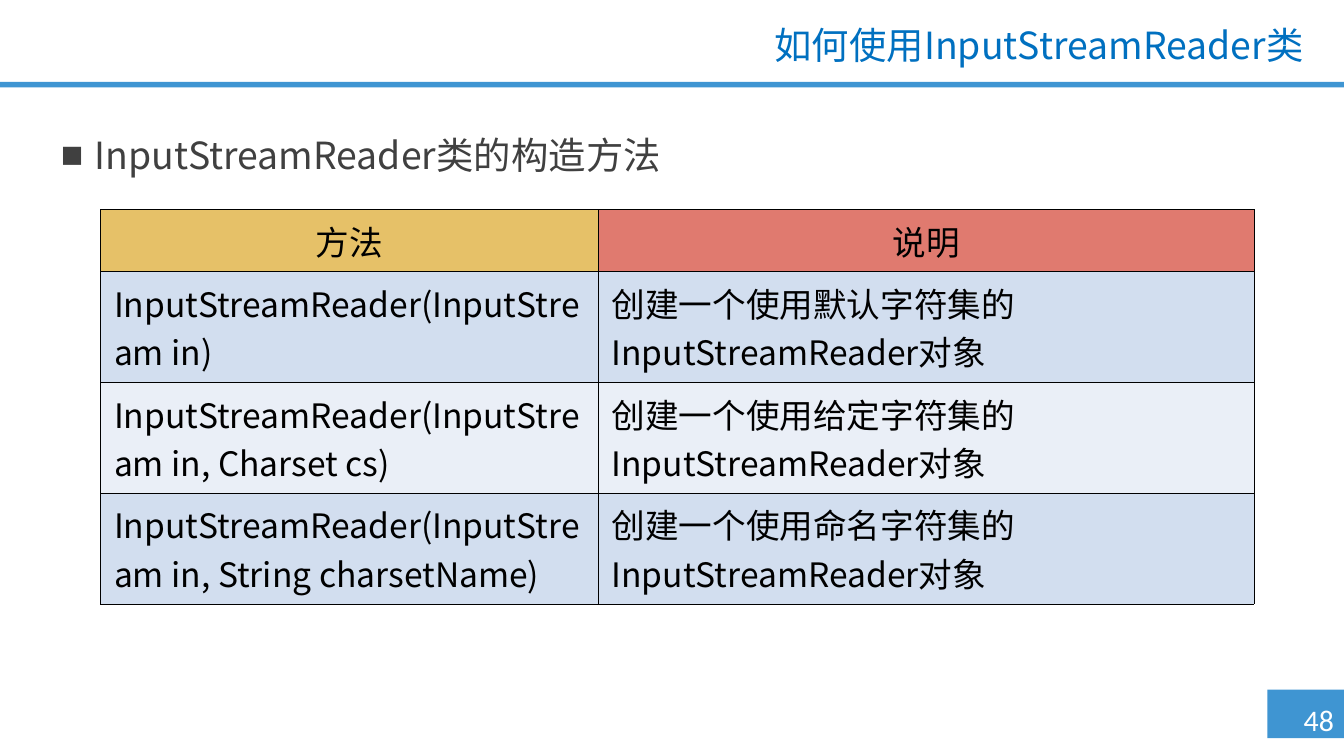
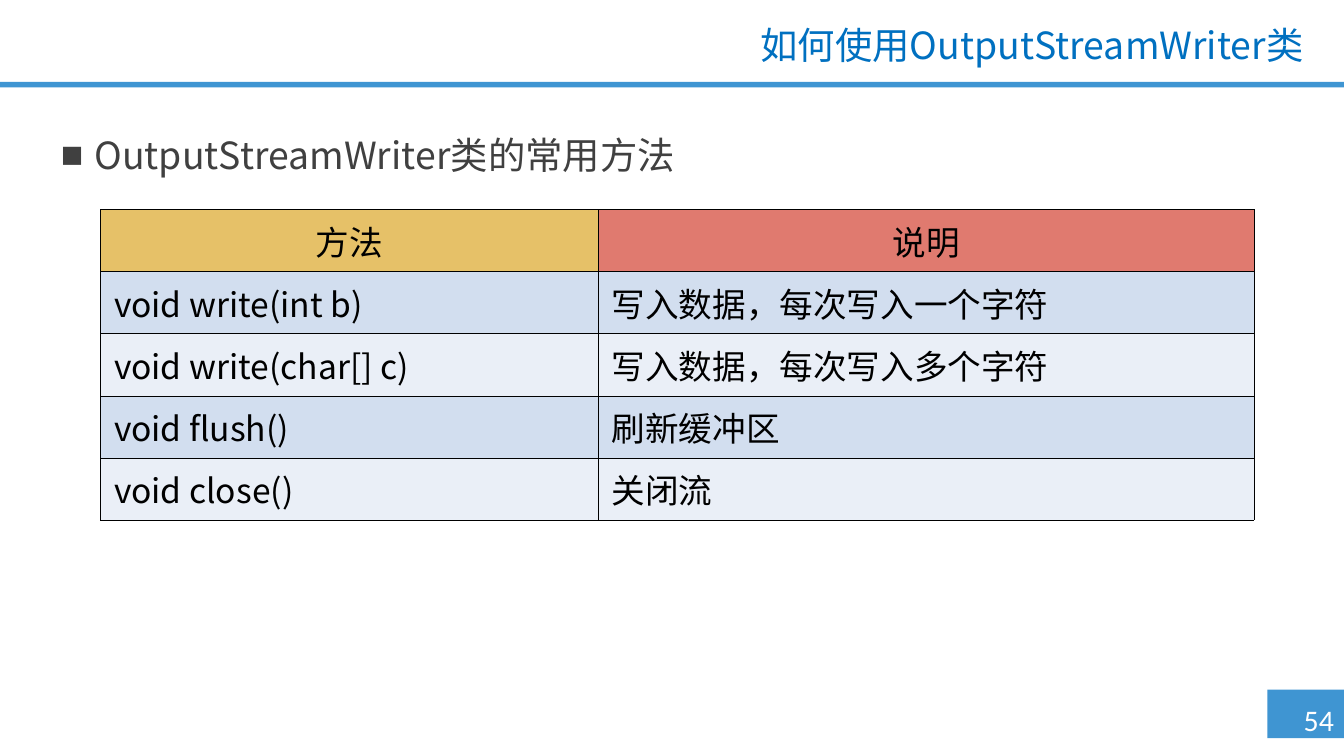
from dataclasses import dataclass

from lxml.etree import SubElement
from pptx import Presentation
from pptx.dml.color import RGBColor
from pptx.enum.shapes import MSO_SHAPE
from pptx.enum.text import MSO_ANCHOR, MSO_AUTO_SIZE, PP_ALIGN
from pptx.oxml import parse_xml
from pptx.oxml.ns import nsdecls, qn
from pptx.slide import Slide
from pptx.util import Pt

RECTANGLE = MSO_SHAPE.RECTANGLE
TOP, MIDDLE = MSO_ANCHOR.TOP, MSO_ANCHOR.MIDDLE
NO_AUTOFIT = MSO_AUTO_SIZE.NONE
LEFT, CENTER, RIGHT = PP_ALIGN.LEFT, PP_ALIGN.CENTER, PP_ALIGN.RIGHT

BAND_BLUE = RGBColor(0x3F, 0x95, 0xD2)
TITLE_BLUE = RGBColor(0x00, 0x70, 0xC0)
BODY_GREY = RGBColor(0x40, 0x40, 0x40)
BLACK = RGBColor(0x00, 0x00, 0x00)
WHITE = RGBColor(0xFF, 0xFF, 0xFF)
HEADER_FILLS = (RGBColor(0xE6, 0xC1, 0x68), RGBColor(0xE0, 0x7A, 0x6F))
ROW_FILLS = (RGBColor(0xD2, 0xDE, 0xEF), RGBColor(0xEA, 0xEF, 0xF7))

CJK_FONT = "Noto Sans CJK SC"
TITLE_FONT = "Roboto"
NUMBER_FONT = "Calibri"

PAGE_WIDTH, PAGE_HEIGHT = 720, 405
TITLE_AND_CONTENT = 1
HEADER = ("方法", "说明")
COLUMN_WIDTHS = (266.6, 351.2)
ROW_HEIGHT = 29.2
BORDER_WIDTH = 0.25


@dataclass(frozen=True)
class Box:
    left: float
    top: float
    width: float
    height: float

    def lengths(self) -> tuple:
        return Pt(self.left), Pt(self.top), Pt(self.width), Pt(self.height)


@dataclass(frozen=True)
class MethodPage:
    class_name: str
    topic: str
    number: int
    rows: tuple


BANDS = (Box(679, 369.5, 41, 26), Box(0, 43.9, PAGE_WIDTH, 2.9))
NUMBER_BOX = Box(693, 372.4, 27, 26.6)
TITLE_BOX = Box(172.8, 10.6, 532.8, 29.2)
BODY_BOX = Box(25.4, 66.4, 657.5, 33)
TABLE_CORNER = (53.9, 112.2)

PAGES = (
    MethodPage("InputStreamReader", "类的构造方法", 48, (
        ("InputStreamReader(InputStream in)",
         "创建一个使用默认字符集的InputStreamReader对象"),
        ("InputStreamReader(InputStream in, Charset cs)",
         "创建一个使用给定字符集的InputStreamReader对象"),
        ("InputStreamReader(InputStream in, String charsetName)",
         "创建一个使用命名字符集的InputStreamReader对象"),
    )),
    MethodPage("OutputStreamWriter", "类的常用方法", 54, (
        ("void write(int b)", "写入数据，每次写入一个字符"),
        ("void write(char[] c)", "写入数据，每次写入多个字符"),
        ("void flush()", "刷新缓冲区"),
        ("void close()", "关闭流"),
    )),
)


def add_run(para, text: str, size: float, color: RGBColor, font: str = CJK_FONT) -> None:
    span = para.add_run()
    span.text = text
    span.font.size = Pt(size)
    span.font.color.rgb = color
    span.font.name = font
    SubElement(span._r.get_or_add_rPr(), qn("a:ea"), typeface=CJK_FONT)


def place(shape, box: Box) -> None:
    shape.left, shape.top, shape.width, shape.height = box.lengths()


def set_frame(frame, anchor: MSO_ANCHOR) -> None:
    frame.word_wrap = True
    frame.auto_size = NO_AUTOFIT
    frame.vertical_anchor = anchor


def add_bands(page: Slide) -> None:
    for box in BANDS:
        band = page.shapes.add_shape(RECTANGLE, *box.lengths())
        band.shadow.inherit = False
        band.fill.solid()
        band.fill.fore_color.rgb = BAND_BLUE
        band.line.fill.background()


def add_number(page: Slide, number: int) -> None:
    frame = page.shapes.add_textbox(*NUMBER_BOX.lengths()).text_frame
    set_frame(frame, TOP)
    frame.margin_left = frame.margin_right = 0
    para = frame.paragraphs[0]
    para.alignment = CENTER
    add_run(para, str(number), 16, WHITE, NUMBER_FONT)


def fill_title(page: Slide, class_name: str) -> None:
    title = page.shapes.title
    place(title, TITLE_BOX)
    set_frame(title.text_frame, MIDDLE)
    para = title.text_frame.paragraphs[0]
    para.alignment = RIGHT
    para.line_spacing = 0.9
    add_run(para, f"如何使用{class_name}", 20, TITLE_BLUE)
    add_run(para, "类", 20, TITLE_BLUE, TITLE_FONT)


def fill_body(page: Slide, text: str) -> None:
    body = page.placeholders[1]
    place(body, BODY_BOX)
    set_frame(body.text_frame, TOP)
    para = body.text_frame.paragraphs[0]
    properties = para._p.get_or_add_pPr()
    properties.set("marL", str(Pt(18)))
    properties.set("indent", str(-Pt(18)))
    SubElement(properties, qn("a:buFont"), typeface="Arial")
    SubElement(properties, qn("a:buChar"), char="■")
    para.alignment = LEFT
    para.line_spacing = Pt(25)
    para.space_before = Pt(0)
    add_run(para, text, 20, BODY_GREY)


def add_borders(cell) -> None:
    properties = cell._tc.get_or_add_tcPr()
    for index, side in enumerate(("lnL", "lnR", "lnT", "lnB")):
        properties.insert(index, parse_xml(
            f'<a:{side} {nsdecls("a")} w="{Pt(BORDER_WIDTH)}"><a:solidFill>'
            f'<a:srgbClr val="{BLACK}"/></a:solidFill></a:{side}>'
        ))


def fill_cell(cell, text: str, fill: RGBColor, alignment: PP_ALIGN) -> None:
    cell.fill.solid()
    cell.fill.fore_color.rgb = fill
    add_borders(cell)
    para = cell.text_frame.paragraphs[0]
    para.alignment = alignment
    add_run(para, text, 18, BLACK)


def add_method_table(page: Slide, rows: tuple) -> None:
    lines = (HEADER, *rows)
    box = Box(*TABLE_CORNER, sum(COLUMN_WIDTHS), ROW_HEIGHT * len(lines))
    table = page.shapes.add_table(len(lines), len(HEADER), *box.lengths()).table
    table.first_row = False
    table.horz_banding = False
    for column, width in zip(table.columns, COLUMN_WIDTHS):
        column.width = Pt(width)
    for row_index, line in enumerate(lines):
        table.rows[row_index].height = Pt(ROW_HEIGHT)
        for column_index, text in enumerate(line):
            if row_index == 0:
                fill, alignment = HEADER_FILLS[column_index], CENTER
            else:
                fill, alignment = ROW_FILLS[(row_index - 1) % 2], LEFT
            fill_cell(table.cell(row_index, column_index), text, fill, alignment)


def add_page(deck, content: MethodPage) -> None:
    page = deck.slides.add_slide(deck.slide_layouts[TITLE_AND_CONTENT])
    add_bands(page)
    add_number(page, content.number)
    fill_title(page, content.class_name)
    fill_body(page, content.class_name + content.topic)
    add_method_table(page, content.rows)


def main() -> None:
    deck = Presentation()
    deck.slide_width, deck.slide_height = Pt(PAGE_WIDTH), Pt(PAGE_HEIGHT)
    for content in PAGES:
        add_page(deck, content)
    deck.save("out.pptx")


if __name__ == "__main__":
    main()
